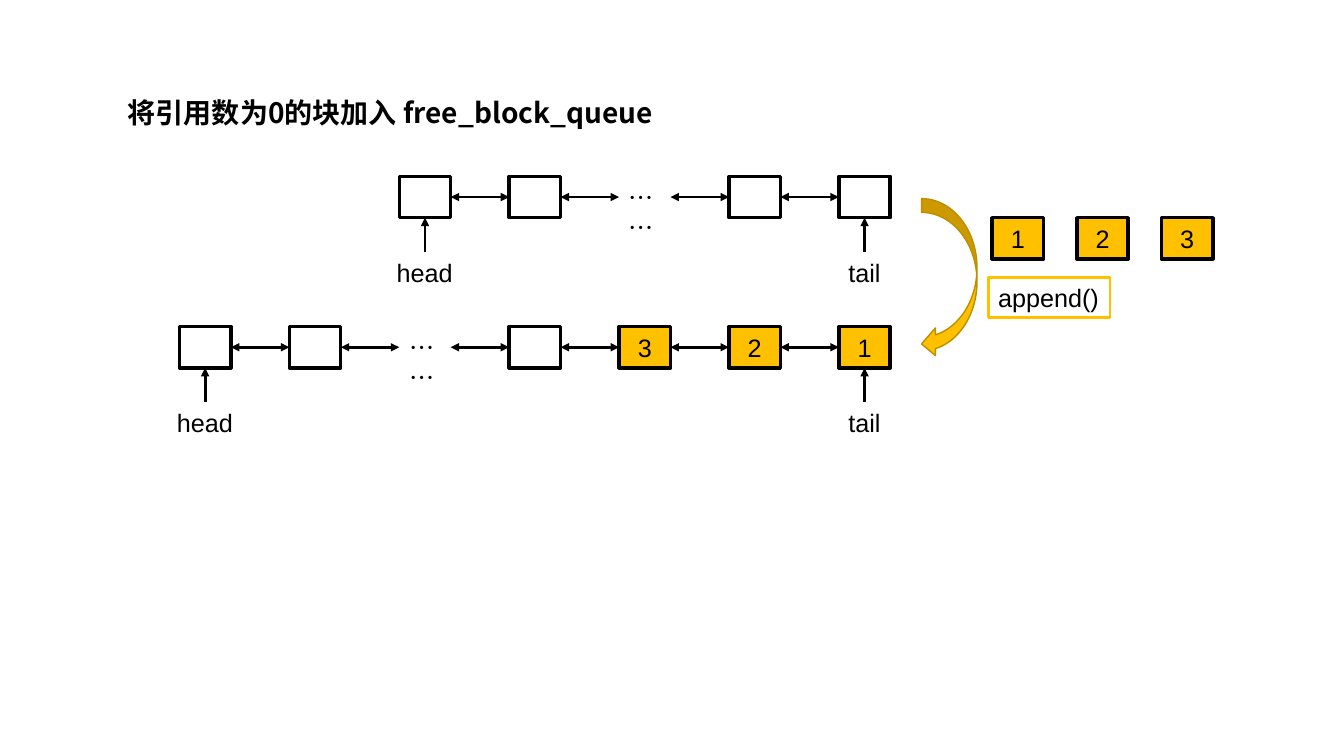
from dataclasses import dataclass

from lxml.etree import SubElement
from pptx import Presentation
from pptx.dml.color import RGBColor
from pptx.enum.shapes import MSO_CONNECTOR_TYPE as Connector
from pptx.enum.shapes import MSO_SHAPE as Preset
from pptx.enum.text import MSO_ANCHOR as Anchor
from pptx.enum.text import MSO_AUTO_SIZE as AutoSize
from pptx.enum.text import PP_ALIGN as Align
from pptx.oxml.ns import qn
from pptx.util import Inches, Pt


@dataclass(frozen=True)
class Theme:
    ink: RGBColor = RGBColor(0, 0, 0)
    accent: RGBColor = RGBColor(0xFF, 0xC0, 0x00)
    accent_edge: RGBColor = RGBColor(0xBD, 0x8E, 0x00)
    latin: str = "Arial"
    cjk: str = "Noto Sans CJK SC"
    body: Pt = Pt(18)
    title: Pt = Pt(20)
    block_line: Pt = Pt(2.5)
    link_line: Pt = Pt(2)
    swoosh_line: Pt = Pt(1)


THEME = Theme()

# Block grid, in inches: seven columns that end at the tail block
BLOCK_W, BLOCK_H = 0.51, 0.41
PITCH = 1.09
TAIL_LEFT, TAIL_COLUMN = 8.32, 6
POINTER = 0.34
GAP = "……"


def set_all(target, values):
    for name, value in values.items():
        setattr(target, name, value)


def write(shape, text, size=THEME.body, font=THEME.latin, bold=False,
          align=Align.LEFT, **frame_format):
    set_all(shape.text_frame, frame_format)
    paragraph = shape.text_frame.paragraphs[0]
    paragraph.alignment = align
    run = paragraph.add_run()
    run.text = text
    set_all(run.font, {"size": size, "name": font, "bold": bold})
    run.font.color.rgb = THEME.ink
    if font == THEME.cjk:
        SubElement(run.font._element, qn("a:ea"), typeface=font)


def add_label(slide, left, top, width, text, height=0.4, wrap=False, **style):
    label = slide.shapes.add_textbox(
        Inches(left), Inches(top), Inches(width), Inches(height))
    write(label, text, word_wrap=wrap, auto_size=AutoSize.NONE, **style)
    return label


def add_outline(slide, preset, left, top, width, height, fill, line, weight):
    outline = slide.shapes.add_shape(
        preset, Inches(left), Inches(top), Inches(width), Inches(height))
    outline.shadow.inherit = False
    if fill is None:
        outline.fill.background()
    else:
        outline.fill.solid()
        outline.fill.fore_color.rgb = fill
    outline.line.color.rgb = line
    outline.line.width = weight
    return outline


def add_block(slide, left, top, number=""):
    block = add_outline(slide, Preset.RECTANGLE, left, top, BLOCK_W, BLOCK_H,
                        THEME.accent if number else None,
                        THEME.ink, THEME.block_line)
    if number:
        write(block, number, align=Align.CENTER,
              vertical_anchor=Anchor.MIDDLE)


def add_arrow(slide, start, end, both_ways=False):
    arrow = slide.shapes.add_connector(
        Connector.STRAIGHT, *(Inches(value) for value in (*start, *end)))
    arrow.line.color.rgb = THEME.ink
    arrow.line.width = THEME.link_line
    line = arrow.line._get_or_add_ln()
    for tag in ("a:headEnd", "a:tailEnd") if both_ways else ("a:tailEnd",):
        SubElement(line, qn(tag), type="triangle")
    SubElement(arrow._element.spPr, qn("a:effectLst"))


def add_pointer(slide, block_left, row_top, name, width):
    center = block_left + BLOCK_W / 2
    bottom = row_top + BLOCK_H
    add_arrow(slide, (center, bottom + POINTER), (center, bottom))
    add_label(slide, center - width / 2, bottom + POINTER, width, name)


def add_queue(slide, top, cells):
    """Draw linked blocks, right-aligned to the tail column."""
    first = TAIL_COLUMN + 1 - len(cells)
    lefts = [TAIL_LEFT - PITCH * (TAIL_COLUMN - column)
             for column in range(first, TAIL_COLUMN + 1)]
    middle = top + BLOCK_H / 2
    for left, cell in zip(lefts, cells):
        if cell == GAP:
            add_label(slide, left, top + 0.01, 0.56, GAP,
                      wrap=True, font=THEME.cjk)
        else:
            add_block(slide, left, top, cell)
    for left, following in zip(lefts, lefts[1:]):
        add_arrow(slide, (left + BLOCK_W, middle), (following, middle),
                  both_ways=True)
    add_pointer(slide, lefts[0], top, "head", 0.76)
    add_pointer(slide, lefts[-1], top, "tail", 0.52)


def main():
    deck = Presentation()
    set_all(deck, {"slide_width": Inches(13.33), "slide_height": Inches(7.5)})
    slide = deck.slides.add_slide(deck.slide_layouts[6])

    # Title
    add_label(slide, 1.17, 0.9, 5.44, "将引用数为0的块加入 free_block_queue",
              height=0.44, wrap=True, size=THEME.title, font=THEME.cjk,
              bold=True)

    # Queue before and after the append
    add_queue(slide, 1.75, ["", "", GAP, "", ""])
    add_queue(slide, 3.24, ["", "", GAP, "", "3", "2", "1"])

    # Freed blocks
    for index, number in enumerate("123"):
        add_block(slide, 9.84 + 0.84 * index, 2.16, number)

    # Append step
    add_outline(slide, Preset.CURVED_LEFT_ARROW, 9.14, 1.97, 0.55, 1.58,
                THEME.accent, THEME.accent_edge, THEME.swoosh_line)
    append_label = add_label(slide, 9.8, 2.75, 1.21, "append()")
    append_label.line.color.rgb = THEME.accent
    append_label.line.width = THEME.link_line

    deck.save("out.pptx")


if __name__ == "__main__":
    main()
